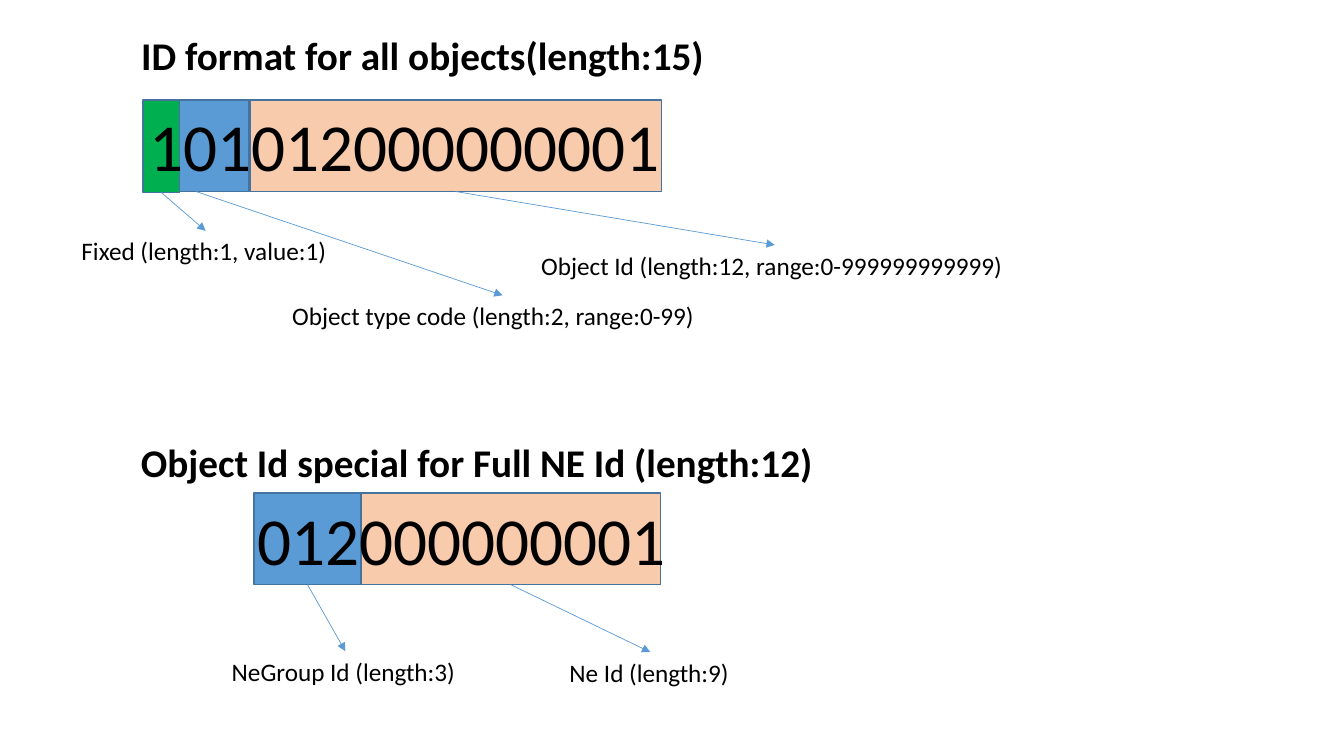
from pptx import Presentation
from pptx.dml.color import RGBColor
from pptx.enum.shapes import MSO_CONNECTOR as CONN, MSO_SHAPE as SHAPE
from pptx.enum.text import MSO_ANCHOR as ANCHOR, MSO_AUTO_SIZE as AUTO, PP_ALIGN as ALIGN
from pptx.oxml.ns import qn
from pptx.util import Inches, Pt
from lxml import etree

GREEN, BLUE, PEACH = "00B050", "5B9BD5", "F8CBAD"
BOTTOM, TOP = 2, 0


def rgb(value):
    return RGBColor.from_string(value)


class SlideBuilder:
    """Holds the slide and the style shared by its elements."""

    font, ink, outline, arrow_color = "Calibri", "000000", "43739E", BLUE
    field_height = 0.91

    def __init__(self, slide):
        self.s = slide

    def set_text(self, sp, text, size, bold=False, wrap=False):
        tf = sp.text_frame
        tf.text = text
        tf.word_wrap = wrap
        tf.auto_size = AUTO.SHAPE_TO_FIT_TEXT
        tf.vertical_anchor = ANCHOR.TOP
        p = tf.paragraphs[0]
        p.alignment = ALIGN.LEFT
        f = p.runs[0].font
        f.name, f.size, f.bold = self.font, Pt(size), bold
        f.color.rgb = rgb(self.ink)

    def title(self, text, x, y, w, h):
        sp = self.s.shapes.title
        sp.left, sp.top, sp.width, sp.height = map(Inches, (x, y, w, h))
        self.set_text(sp, text, 28, bold=True)

    def text(self, text, x, y, w, h, size, **style):
        sp = self.s.shapes.add_textbox(*map(Inches, (x, y, w, h)))
        self.set_text(sp, text, size, **style)
        return sp

    def field(self, x, y, w, color):
        """Draw the coloured box behind one group of digits."""
        box = map(Inches, (x, y, w, self.field_height))
        sp = self.s.shapes.add_shape(SHAPE.RECTANGLE, *box)
        sp.shadow.inherit = False
        sp.fill.solid()
        sp.fill.fore_color.rgb = rgb(color)
        sp.line.color.rgb = rgb(self.outline)
        sp.line.width = Pt(1)
        return sp

    def digits(self, text, x, y, w):
        self.text(text, x, y, w, self.field_height, 48, wrap=True)

    def label(self, field, text, x, y, w):
        """Add a caption and point an arrow at it from its field."""
        caption = self.text(text, x, y, w, 0.4, 18)
        c = self.s.shapes.add_connector(CONN.STRAIGHT, 0, 0, 0, 0)
        c.begin_connect(field, BOTTOM)
        c.end_connect(caption, TOP)
        c.line.color.rgb = rgb(self.arrow_color)
        c.line.width = Pt(0.5)
        props = c._element.spPr
        etree.SubElement(props.find(qn("a:ln")), qn("a:tailEnd"), type="triangle")
        etree.SubElement(props, qn("a:effectLst"))


def main():
    prs = Presentation()
    prs.slide_width, prs.slide_height = Inches(13.33), Inches(7.5)
    b = SlideBuilder(prs.slides.add_slide(prs.slide_layouts[5]))

    b.title("ID format for all objects(length:15)", 1.3, 0.26, 5.85, 0.57)
    type_code = b.field(1.42, 0.99, 1.05, BLUE)
    fixed = b.field(1.42, 1, 0.36, GREEN)
    object_id = b.field(2.48, 0.99, 4.08, PEACH)
    b.digits("101012000000001", 1.38, 0.99, 7.32)

    b.text("Object Id special for Full NE Id (length:12)",
           1.3, 4.3, 6.94, 0.57, 28, bold=True)
    group_id = b.field(2.52, 4.89, 1.06, BLUE)
    ne_id = b.field(3.58, 4.89, 2.97, PEACH)
    b.digits("012000000001", 2.46, 4.89, 4.67)

    for field, text, x, y, w in (
        (fixed, "Fixed (length:1, value:1)", 0.71, 2.29, 2.66),
        (type_code, "Object type code (length:2, range:0-99)", 2.8, 2.93, 4.37),
        (object_id, "Object Id (length:12, range:0-999999999999)", 5.27, 2.43, 4.83),
        (group_id, "NeGroup Id (length:3)", 2.2, 6.46, 2.45),
        (ne_id, "Ne Id (length:9)", 5.55, 6.47, 1.8),
    ):
        b.label(field, text, x, y, w)

    prs.save("out.pptx")


if __name__ == "__main__":
    main()
